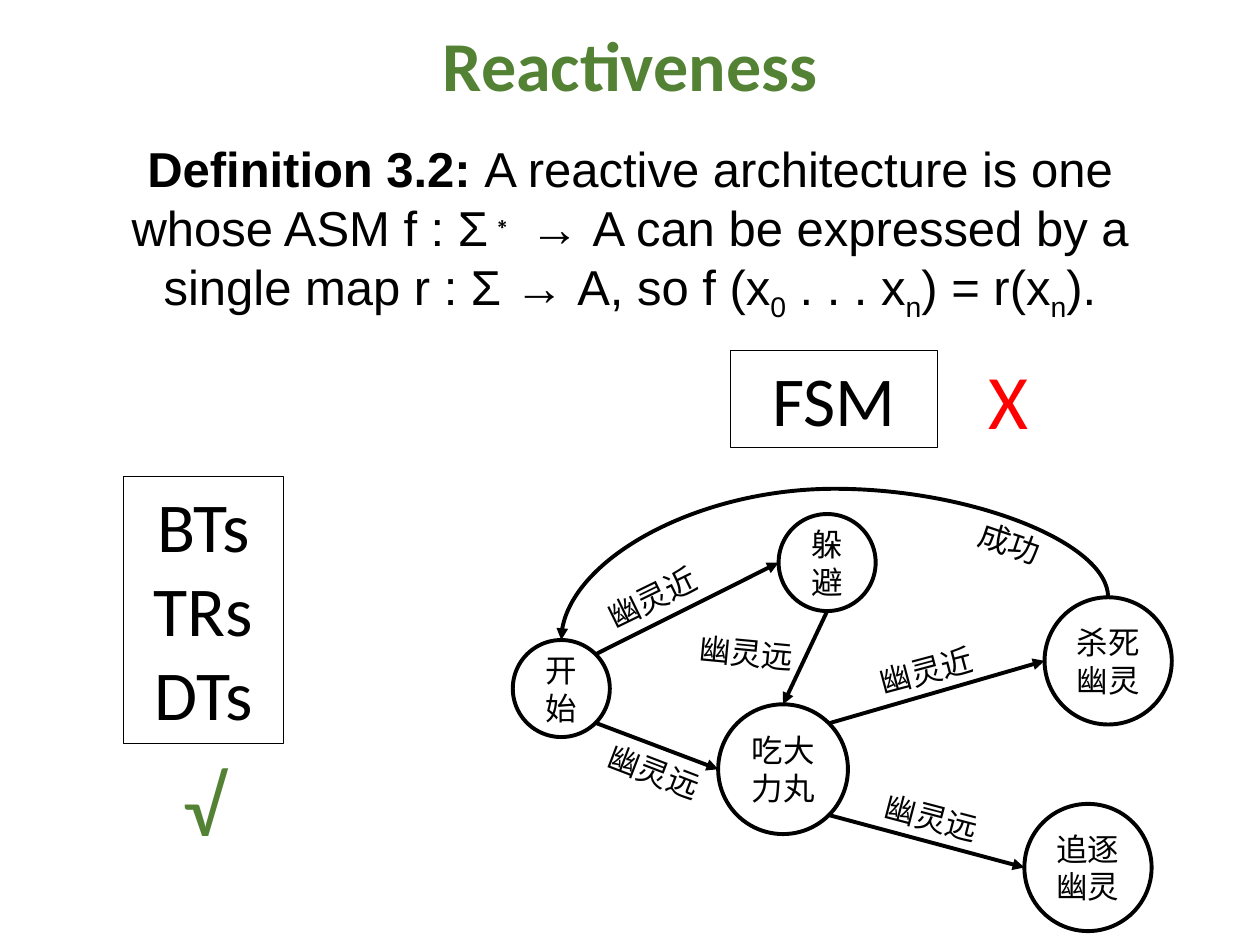
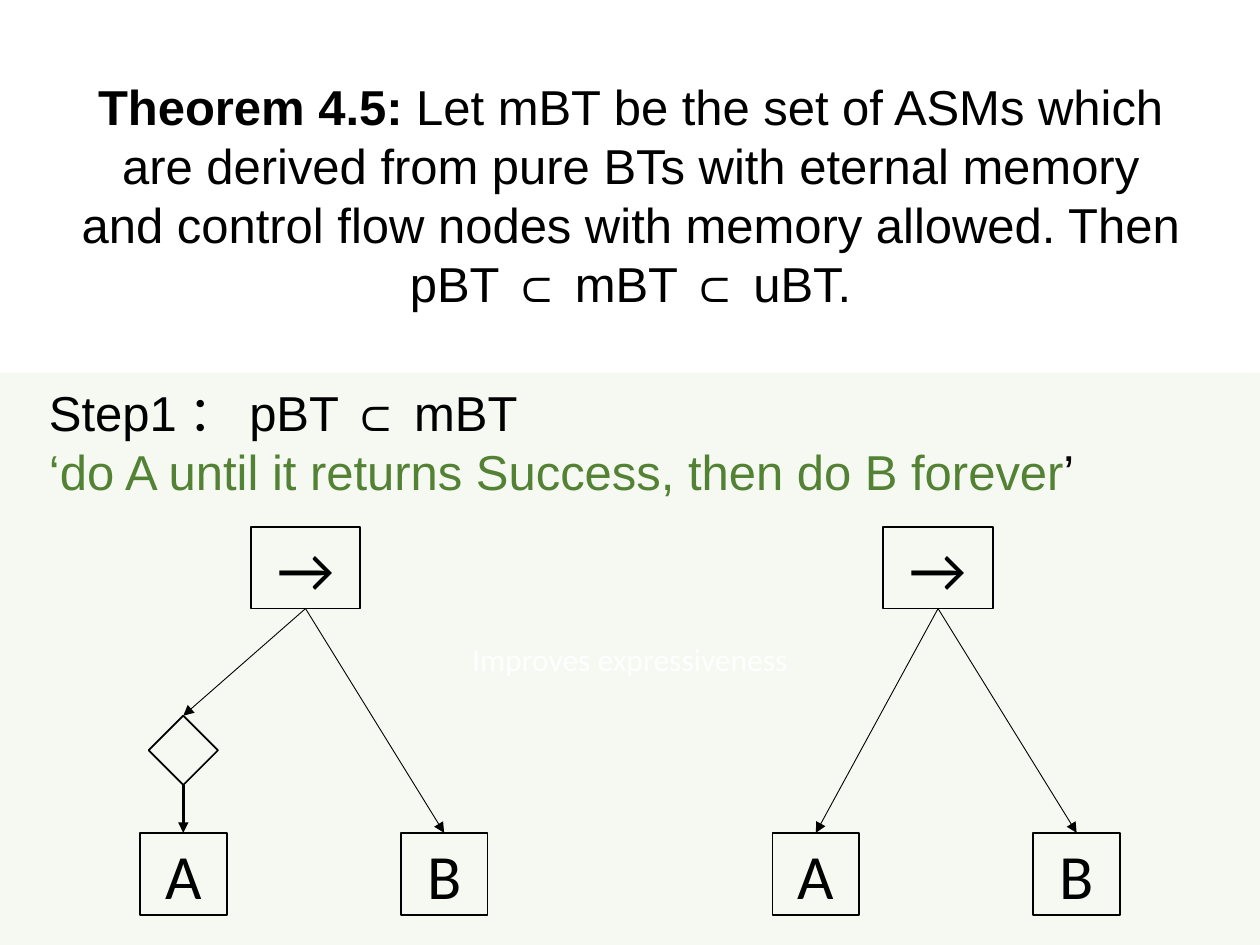
from dataclasses import dataclass
from math import cos, radians, sin

from lxml import etree
from pptx import Presentation
from pptx.dml.color import RGBColor
from pptx.enum.shapes import MSO_CONNECTOR, MSO_SHAPE
from pptx.enum.text import MSO_ANCHOR, PP_ALIGN
from pptx.oxml.ns import qn
from pptx.util import Inches, Pt

RECTANGLE, OVAL, DIAMOND = MSO_SHAPE.RECTANGLE, MSO_SHAPE.OVAL, MSO_SHAPE.DIAMOND
STRAIGHT, CURVE = MSO_CONNECTOR.STRAIGHT, MSO_CONNECTOR.CURVE
LEFT, CENTER = PP_ALIGN.LEFT, PP_ALIGN.CENTER
TOP, MIDDLE = MSO_ANCHOR.TOP, MSO_ANCHOR.MIDDLE
SITE_TOP, SITE_BOTTOM = 0, 2
COLUMNS, ROWS = 100, 75
CELL = Inches(0.1)


@dataclass(frozen=True)
class Theme:
    ink: str = "000000"
    accent: str = "548235"
    wrong: str = "FF0000"
    panel: str = "E2F0D9"
    white: str = "FFFFFF"
    body_font: str = "Arial"
    label_font: str = "Calibri"
    label: int = 18
    body: int = 28
    node: int = 36
    title: int = 40
    cross: int = 44
    check: int = 48
    hairline: float = 0.5
    frame: float = 0.75
    outline: float = 1
    stem: float = 1.5
    heavy: float = 2.25


THEME = Theme()


@dataclass(frozen=True)
class Box:
    left: float
    top: float
    width: float
    height: float

    def inner(self, left, top, width, height):
        return Box(self.left + left, self.top + top, width, height)

    def lengths(self):
        return [round(value * CELL) for value in (self.left, self.top, self.width, self.height)]

    def rim(self, angle):
        turn = radians(angle)
        return (
            self.left + self.width / 2 * (1 + cos(turn)),
            self.top + self.height / 2 * (1 - sin(turn)),
        )


def write_text(shape, paragraphs, *, size=THEME.label, font=THEME.label_font,
               color=THEME.ink, align=CENTER, anchor=TOP, wrap=True):
    frame = shape.text_frame
    frame.word_wrap = wrap
    frame.vertical_anchor = anchor
    if isinstance(paragraphs, str):
        paragraphs = paragraphs.split("\n")
    for index, runs in enumerate(paragraphs):
        paragraph = frame.paragraphs[0] if index == 0 else frame.add_paragraph()
        paragraph.alignment = align
        if isinstance(runs, str):
            runs = [(runs, {})]
        for words, style in runs:
            run = paragraph.add_run()
            run.text = words
            run.font.size = Pt(size)
            run.font.name = font
            run.font.bold = style.get("bold", False)
            run.font.color.rgb = RGBColor.from_string(style.get("color", color))
            if "baseline" in style:
                run._r.get_or_add_rPr().set("baseline", str(style["baseline"] * 1000))


def add_text(slide, box, paragraphs, *, rotation=0, **text_format):
    shape = slide.shapes.add_textbox(*box.lengths())
    shape.rotation = rotation
    write_text(shape, paragraphs, **text_format)


def add_shape(slide, kind, box, paragraphs="", *, line=None, fill=None, alpha=None, **text_format):
    shape = slide.shapes.add_shape(kind, *box.lengths())
    shape.shadow.inherit = False
    if fill:
        shape.fill.solid()
        shape.fill.fore_color.rgb = RGBColor.from_string(fill)
    else:
        shape.fill.background()
    if alpha:
        color = shape._element.spPr.find(".//" + qn("a:srgbClr"))
        etree.SubElement(color, qn("a:alpha")).set("val", str(alpha * 1000))
    if line:
        shape.line.color.rgb = RGBColor.from_string(THEME.ink)
        shape.line.width = Pt(line)
    else:
        shape.line.fill.background()
    if paragraphs:
        write_text(shape, paragraphs, **text_format)
    return shape


def add_arrow(slide, start, end, width, kind=STRAIGHT):
    points = [round(value * CELL) for value in (*start, *end)]
    connector = slide.shapes.add_connector(kind, *points)
    connector.line.color.rgb = RGBColor.from_string(THEME.ink)
    connector.line.width = Pt(width)
    properties = connector._element.spPr
    etree.SubElement(properties.find(qn("a:ln")), qn("a:tailEnd")).set("type", "triangle")
    etree.SubElement(properties, qn("a:effectLst"))
    return connector


def join(slide, parent, child, width):
    arrow = add_arrow(slide, (0, 0), (1, 1), width)
    arrow.begin_connect(parent, SITE_BOTTOM)
    arrow.end_connect(child, SITE_TOP)


def add_return_arc(slide, start, end, rise):
    middle_x, middle_y = (start[0] + end[0]) / 2, (start[1] + end[1]) / 2
    half_width, half_height = abs(end[1] - start[1]) / 2, abs(end[0] - start[0]) / 2
    arc = add_arrow(
        slide,
        (middle_x + half_width, middle_y + half_height),
        (middle_x - half_width, middle_y - half_height),
        THEME.heavy, CURVE,
    )
    properties = arc._element.spPr
    properties.find(qn("a:xfrm")).set("rot", str(270 * 60000))
    adjustment = etree.SubElement(properties.find(".//" + qn("a:avLst")), qn("a:gd"))
    adjustment.set("name", "adj1")
    adjustment.set("fmla", f"val {round(-rise / (2 * half_width) * 100000)}")


def draw_state_machine(slide, box):
    states = {
        "start": ("开始", 0, 12, 7.7),
        "hide": ("躲避", 21.1, 2, 7.7),
        "eat": ("吃大\n力丸", 16.3, 17.1, 10.3),
        "kill": ("杀死幽灵", 42.2, 8.6, 10.1),
        "chase": ("追逐幽灵", 40.6, 25, 10.1),
    }
    transitions = [
        ("start", 45, "hide", 180, "幽灵近", (6.2, 6, 12.2), 334),
        ("start", 315, "eat", 180, "幽灵远", (6.3, 21.4, 14.8), 21),
        ("hide", 270, "eat", 90, "幽灵远", (13.8, 11.1, 12.2), 5.4),
        ("eat", 45, "kill", 180, "幽灵近", (28, 11.9, 13.2), 345),
        ("eat", 315, "chase", 180, "幽灵远", (28.5, 24.2, 10.5), 14.7),
        ("kill", 90, "start", 90, "成功", (35.8, 3.3, 13.2), 18.8),
    ]
    circles = {}
    for name, (label, left, top, size) in states.items():
        circles[name] = box.inner(left, top, size, size)
        add_shape(slide, OVAL, circles[name], label, line=THEME.heavy, anchor=MIDDLE)
    for source, leave, target, arrive, label, place, rotation in transitions:
        start, end = circles[source].rim(leave), circles[target].rim(arrive)
        if leave == arrive:
            add_return_arc(slide, start, end, rise=8.6)
        else:
            add_arrow(slide, start, end, THEME.heavy)
        add_text(slide, box.inner(*place, 4), label, rotation=rotation, align=LEFT)


def draw_verdicts(slide, box):
    add_shape(slide, RECTANGLE, box.inner(0, 10, 12.7, 21.2), "BTs\nTRs\nDTs",
              line=THEME.frame, size=THEME.title)
    add_shape(slide, RECTANGLE, box.inner(48.2, 0, 16.4, 7.7), "FSM",
              line=THEME.frame, size=THEME.title)
    add_text(slide, box.inner(3.7, 31.4, 5.4, 9.1), "√",
             size=THEME.check, color=THEME.accent, wrap=False)
    add_text(slide, box.inner(67.6, -0.3, 5.2, 8.4), "X",
             size=THEME.cross, color=THEME.wrong, wrap=False)


def draw_statement(slide, box, runs):
    add_text(slide, box, [runs], size=THEME.body, font=THEME.body_font)


def draw_tree(slide, box, guarded):
    node_format = dict(line=THEME.outline, size=THEME.node, anchor=MIDDLE)
    leaf_top = box.height - 6.5
    root = add_shape(slide, RECTANGLE, box.inner(8.8, 0, 8.7, 6.5), "→", **node_format)
    first, second = [
        add_shape(slide, RECTANGLE, box.inner(left, leaf_top, 6.9, 6.5), label, **node_format)
        for label, left in (("A", 0), ("B", box.width - 6.9))
    ]
    branch = first
    if guarded:
        branch = add_shape(slide, DIAMOND, box.inner(0.7, 15, 5.5, 5.5), line=THEME.outline)
        join(slide, branch, first, THEME.stem)
    for child in (branch, second):
        join(slide, root, child, THEME.hairline)


def draw_proof_step(slide, box):
    add_shape(slide, RECTANGLE, box, "Improves expressiveness", fill=THEME.panel, alpha=34,
              color=THEME.white, anchor=MIDDLE)
    add_text(slide, box.inner(2.9, 0.3, 91.9, 10.4), [
        "Step1：pBT ⊂ mBT",
        [("‘do A until it returns Success, then do B forever", {"color": THEME.accent}), ("’", {})],
    ], size=THEME.body, font=THEME.body_font, align=LEFT)
    for left, guarded in ((11.1, True), (61.3, False)):
        draw_tree(slide, box.inner(left, 12.2, 27.6, 30.8), guarded)


def build_reactiveness(slide, box):
    subscript = {"baseline": -25}
    draw_statement(slide, box.inner(7.1, 10.5, 85.8, 15.1), [
        ("Definition 3.2: ", {"bold": True}),
        ("A reactive architecture is one whose ASM f : Σ", {}),
        ("∗", {"baseline": 30}),
        (" → A can be expressed by a single map r : Σ → A, so f (x", {}),
        ("0", subscript),
        (" . . . x", {}),
        ("n", subscript),
        (") = r(x", {}),
        ("n", subscript),
        (").", {}),
    ])
    add_text(slide, box.inner(11.1, 1.2, 77.8, 7.7), [[("Reactiveness", {"bold": True})]],
             size=THEME.title, color=THEME.accent)
    draw_verdicts(slide, box.inner(9.8, 27.8, 72.8, 40.5))
    draw_state_machine(slide, box.inner(40.7, 38.8, 52.3, 35.1))


def build_theorem(slide, box):
    draw_proof_step(slide, box.inner(0, 29.6, COLUMNS, ROWS - 29.6))
    draw_statement(slide, box.inner(5.2, 5.6, 89.7, 19.9), [
        ("Theorem 4.5: ", {"bold": True}),
        ("Let mBT be the set of ASMs which are derived from pure BTs with eternal memory "
         "and control flow nodes with memory allowed. Then pBT ⊂ mBT ⊂ uBT.", {}),
    ])


def main():
    presentation = Presentation()
    presentation.slide_width = COLUMNS * CELL
    presentation.slide_height = ROWS * CELL
    blank = presentation.slide_layouts[6]
    for build in (build_reactiveness, build_theorem):
        build(presentation.slides.add_slide(blank), Box(0, 0, COLUMNS, ROWS))
    presentation.save("out.pptx")


if __name__ == "__main__":
    main()
